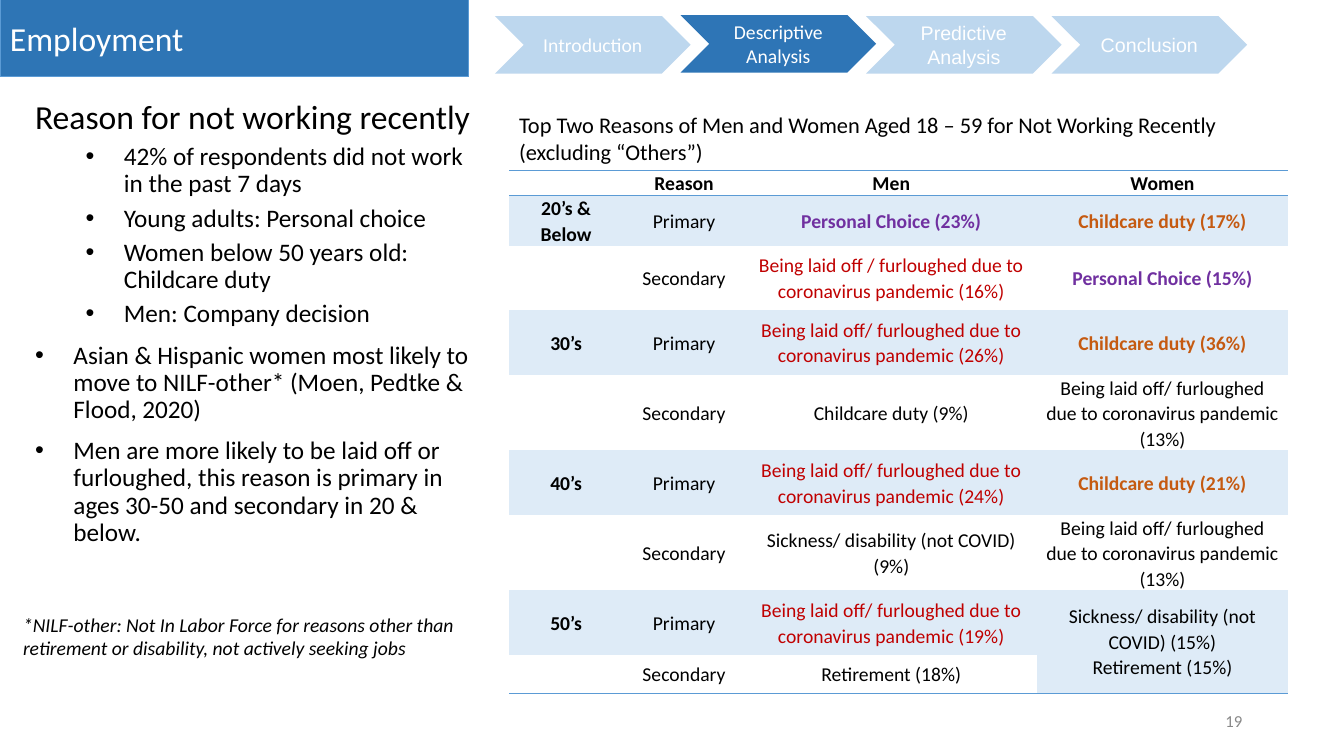
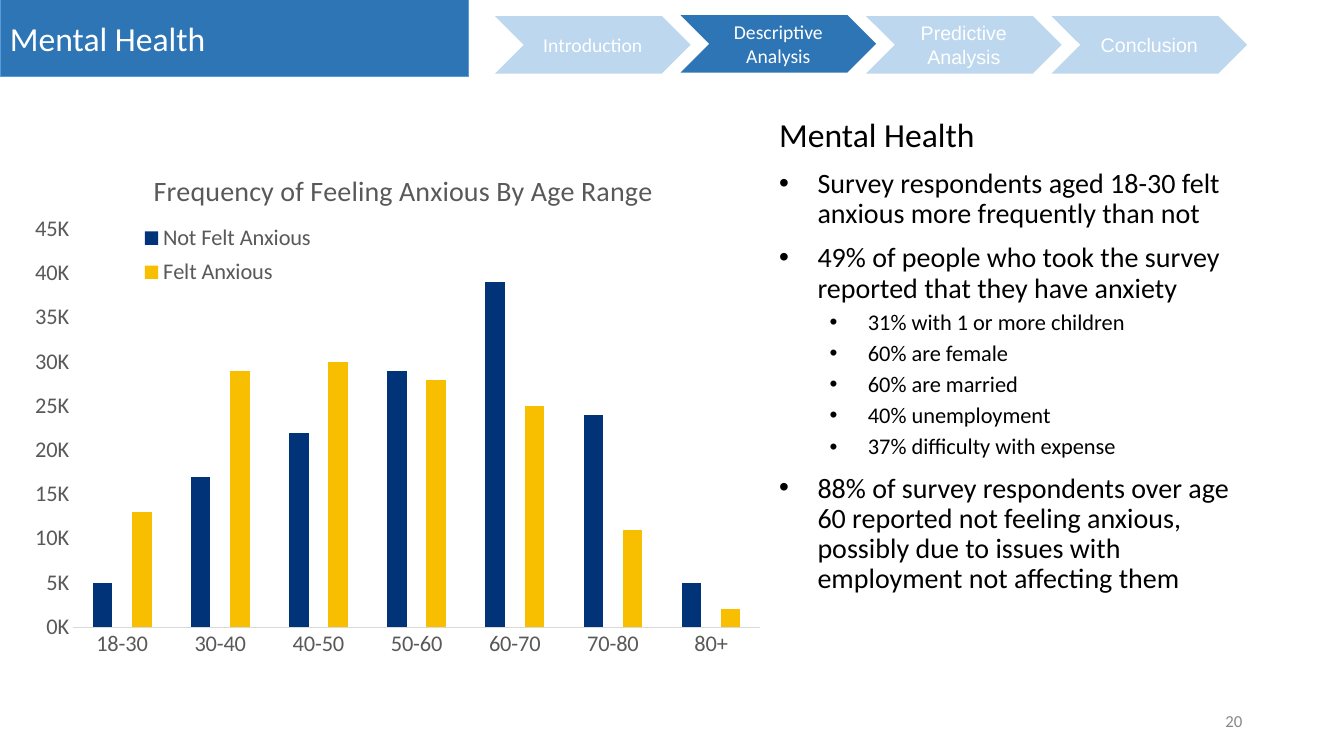
from lxml.etree import SubElement
from pptx import Presentation
from pptx.chart.data import CategoryChartData
from pptx.dml.color import RGBColor
from pptx.enum.chart import XL_CHART_TYPE, XL_LEGEND_POSITION, XL_TICK_MARK
from pptx.enum.shapes import MSO_SHAPE
from pptx.enum.text import MSO_ANCHOR, PP_ALIGN
from pptx.oxml import parse_xml
from pptx.oxml.ns import nsdecls, qn
from pptx.util import Inches, Pt

BANNER, ACTIVE, INACTIVE = "2E75B5", "2E75B6", "BDD7EE"
RULE, BAND = "5B9BD5", "DEEBF7"
BLACK, WHITE, GREY, AXIS = "000000", "FFFFFF", "888888", "595959"
STEPS = [("Introduction", "Calibri", INACTIVE, 0.16),
         ("Descriptive Analysis", "Calibri", ACTIVE, 0.15),
         ("Predictive Analysis", "Arial", INACTIVE, 0.16),
         ("Conclusion", "Arial", INACTIVE, 0.16)]
# Body levels: left margin, first-line indent, space before
LEVELS = [(0.12, 0, 10), (0.5, -0.38, 10), (1, -0.38, 5)]


def format_font(font, color=BLACK, **values):
    for name, value in {"name": "Calibri", "bold": False, **values}.items():
        setattr(font, name, value)
    font.color.rgb = RGBColor.from_string(color)


def write(frame, text, align=PP_ALIGN.LEFT, anchor=MSO_ANCHOR.TOP, **values):
    frame.word_wrap = True
    frame.vertical_anchor = anchor
    paragraph = frame.paragraphs[0]
    paragraph.text = text
    paragraph.alignment = align
    for run in paragraph.runs:
        format_font(run.font, **values)
    return paragraph


prs = Presentation()
prs.slide_width, prs.slide_height = Inches(13.33), Inches(7.5)

# Shared frame and body text of both slides
pages = [
    ("Employment", "19", (0.13, 0.95, 4.65, 5.67), [
        (0, 24, "Reason for not working recently"),
        (2, 18, "42% of respondents did not work in the past 7 days"),
        (2, 18, "Young adults: Personal choice"),
        (2, 18, "Women below 50 years old: Childcare duty"),
        (2, 18, "Men: Company decision"),
        (1, 18, "Asian & Hispanic women most likely to move to NILF-other* "
                "(Moen, Pedtke & Flood, 2020)"),
        (1, 18, "Men are more likely to be laid off or furloughed, this reason "
                "is primary in ages 30-50 and secondary in 20 & below."),
    ]),
    ("Mental Health", "20", (7.51, 1.13, 4.91, 5.66), [
        (0, 24, "Mental Health"),
        (1, 20, "Survey respondents aged 18-30 felt anxious more frequently than not"),
        (1, 20, "49% of people who took the survey reported that they have anxiety"),
        (2, 16, "31% with 1 or more children"),
        (2, 16, "60% are female"),
        (2, 16, "60% are married"),
        (2, 16, "40% unemployment"),
        (2, 16, "37% difficulty with expense"),
        (1, 20, "88% of survey respondents over age 60 reported not feeling anxious, "
                "possibly due to issues with employment not affecting them"),
    ]),
]
slides = []
for title, number, body_box, points in pages:
    slide = prs.slides.add_slide(prs.slide_layouts[6])
    slides.append(slide)

    # Title banner
    banner = slide.shapes.add_shape(MSO_SHAPE.RECTANGLE, 0, 0, Inches(4.65), Inches(0.76))
    banner.shadow.inherit = False
    banner.fill.solid()
    banner.fill.fore_color.rgb = RGBColor.from_string(BANNER)
    banner.line.color.rgb = RGBColor.from_string(RULE)
    banner.line.width = Pt(0.75)
    write(banner.text_frame, title, anchor=MSO_ANCHOR.MIDDLE, size=Pt(24), color=WHITE)

    # Progress chevrons
    for index, (step, typeface, color, top) in enumerate(STEPS):
        chevron = slide.shapes.add_shape(
            MSO_SHAPE.CHEVRON, Inches(4.91 + 1.84 * index), Inches(top),
            Inches(1.94), Inches(0.57))
        chevron.shadow.inherit = False
        chevron.fill.solid()
        chevron.fill.fore_color.rgb = RGBColor.from_string(color)
        chevron.line.fill.background()
        write(chevron.text_frame, step, PP_ALIGN.CENTER, MSO_ANCHOR.MIDDLE,
              name=typeface, size=Pt(14), color=WHITE)

    # Page number
    page_number = slide.shapes.add_textbox(Inches(9.42), Inches(6.95), Inches(3), Inches(0.4))
    write(page_number.text_frame, number, PP_ALIGN.RIGHT, MSO_ANCHOR.MIDDLE,
          size=Pt(12), color=GREY)

    # Body points
    body = slide.shapes.add_textbox(*map(Inches, body_box)).text_frame
    body.word_wrap = True
    for index, (level, size, text) in enumerate(points):
        point = body.add_paragraph() if index else body.paragraphs[0]
        point.text = text
        format_font(point.runs[0].font, size=Pt(size))
        margin, indent, before = LEVELS[level]
        point.line_spacing = 0.9
        point.space_before = Pt(before)
        properties = point._p.get_or_add_pPr()
        properties.set("marL", str(Inches(margin)))
        properties.set("indent", str(Inches(indent)))
        if level:
            SubElement(properties, qn("a:buFont"), typeface="Arial")
            SubElement(properties, qn("a:buChar"), char="•")

employment, mental_health = slides

# Employment: table caption and footnote
caption = employment.shapes.add_textbox(Inches(5.05), Inches(1.05), Inches(7.38), Inches(0.64))
write(caption.text_frame, "Top Two Reasons of Men and Women Aged 18 – 59 for Not Working "
      "Recently (excluding “Others”)", size=Pt(16))
footnote = employment.shapes.add_textbox(Inches(0.13), Inches(6.03), Inches(4.91), Inches(0.57))
write(footnote.text_frame, "*NILF-other: Not In Labor Force for reasons other than retirement "
      "or disability, not actively seeking jobs", size=Pt(14), italic=True)

# Employment: table of reasons
plain, strong = {}, {"bold": True}
choice = {"color": "7030A0", "bold": True}
childcare = {"color": "C55A11", "bold": True}
laid_off = {"color": "C00000"}
LAID_OFF = "Being laid off/ furloughed due to coronavirus pandemic"
reasons = [
    ("20’s & Below", ("Personal Choice (23%)", choice), ("Childcare duty (17%)", childcare)),
    ("", ("Being laid off / furloughed due to coronavirus pandemic (16%)", laid_off),
     ("Personal Choice (15%)", choice)),
    ("30’s", (f"{LAID_OFF} (26%)", laid_off), ("Childcare duty (36%)", childcare)),
    ("", ("Childcare duty (9%)", plain), (f"{LAID_OFF} (13%)", plain)),
    ("40’s", (f"{LAID_OFF} (24%)", laid_off), ("Childcare duty (21%)", childcare)),
    ("", ("Sickness/ disability (not COVID) (9%)", plain), (f"{LAID_OFF} (13%)", plain)),
    ("50’s", (f"{LAID_OFF} (19%)", laid_off),
     ("Sickness/ disability (not COVID) (15%)\nRetirement (15%)", plain)),
    ("", ("Retirement (18%)", plain), ("", plain)),
]
rows = [[(heading, strong) for heading in ("", "Reason", "Men", "Women")]]
for age, men, women in reasons:
    rows.append([(age, strong), ("Primary" if age else "Secondary", plain), men, women])

table = employment.shapes.add_table(
    len(rows), 4, Inches(5.05), Inches(1.69), Inches(7.72), Inches(4.75)).table
table.first_row = table.horz_banding = False
# The "No Style, No Grid" table style
table._tbl.tblPr.find(qn("a:tableStyleId")).text = "{2D5ABB26-0587-4C30-8999-92F81FD0307C}"
for column, width in zip(table.columns, (1.13, 1.21, 2.9, 2.48)):
    column.width = Inches(width)
for row, height in zip(table.rows, [0.15, 0.38] + [0.64] * 6 + [0.38]):
    row.height = Inches(height)
table.cell(7, 3).merge(table.cell(8, 3))

for row_index, row in enumerate(rows):
    for column_index, (text, look) in enumerate(row):
        cell = table.cell(row_index, column_index)
        cell.margin_left = cell.margin_right = Inches(0.06)
        cell.margin_top = cell.margin_bottom = 0
        sides = ["a:lnT", "a:lnB"] if row_index == 0 else []
        if row_index == len(rows) - 1 or cell.is_merge_origin:
            sides = ["a:lnB"]
        for side in sides:
            border = SubElement(cell._tc.get_or_add_tcPr(), qn(side), w=str(Pt(1)))
            SubElement(SubElement(border, qn("a:solidFill")), qn("a:srgbClr"), val=RULE)
        if row_index % 2:
            cell.fill.solid()
            cell.fill.fore_color.rgb = RGBColor.from_string(BAND)
        else:
            cell.fill.background()
        cell.vertical_anchor = MSO_ANCHOR.MIDDLE
        paragraph = write(cell.text_frame, text, PP_ALIGN.CENTER, MSO_ANCHOR.MIDDLE,
                          size=Pt(14), **look)
        paragraph.line_spacing = 1.07
        if not text:
            SubElement(paragraph._p, qn("a:endParaRPr"), sz="1400")

# Mental health: chart of anxiety by age
anxiety = CategoryChartData()
anxiety.categories = ["18-30", "30-40", "40-50", "50-60", "60-70", "70-80", "80+"]
anxiety.add_series("Not Felt Anxious", (5000, 17000, 22000, 29000, 39000, 24000, 5000))
anxiety.add_series("Felt Anxious", (13000, 29000, 30000, 28000, 25000, 11000, 2000))
chart = mental_health.shapes.add_chart(
    XL_CHART_TYPE.COLUMN_CLUSTERED, Inches(0.2), Inches(1.36), Inches(7.49), Inches(5.72),
    anxiety).chart
format_font(chart.font, size=Pt(16))
chart.has_title = True
write(chart.chart_title.text_frame, "Frequency of Feeling Anxious By Age Range",
      PP_ALIGN.CENTER, size=Pt(20), color=AXIS)
chart.has_legend = True
chart.legend.position = XL_LEGEND_POSITION.BOTTOM
chart.legend.include_in_layout = False
format_font(chart.legend.font, size=Pt(16), color=AXIS)

columns = chart.plots[0]
columns.vary_by_categories = False
columns.gap_width, columns.overlap = 201, -100
for series, color in zip(columns.series, ("003378", "F7BF00")):
    series.format.fill.solid()
    series.format.fill.fore_color.rgb = RGBColor.from_string(color)

ages, counts = chart.category_axis, chart.value_axis
for axis in (ages, counts):
    axis.major_tick_mark = axis.minor_tick_mark = XL_TICK_MARK.NONE
    axis.has_major_gridlines = False
    format_font(axis.tick_labels.font, size=Pt(16), color=AXIS)
ages.format.line.color.rgb = RGBColor.from_string("D9D9D9")
ages.format.line.width = Pt(0.75)
counts.format.line.fill.background()
counts.minimum_scale, counts.maximum_scale, counts.major_unit = 0, 45000, 5000
counts.tick_labels.number_format = r"#,##0,\K"
counts.tick_labels.number_format_is_linked = False

# Chart layout: part, position among its children, fractions of the chart
plot_area = chart._chartSpace.chart.plotArea
for part, position, target, fractions in (
        (chart.chart_title._element, 1, "", {"x": 0.17, "y": 0.05}),
        (chart.legend._element, 1, "", {"x": 0.15, "y": 0.14, "w": 0.25, "h": 0.13}),
        (plot_area, 0, "inner", {"x": 0.07, "y": 0.16, "w": 0.91, "h": 0.69})):
    for old in part.findall(qn("c:layout")):
        part.remove(old)
    layout = parse_xml(f"<c:layout {nsdecls('c')}><c:manualLayout/></c:layout>")
    if target:
        SubElement(layout[0], qn("c:layoutTarget"), val=target)
    for key in ("x", "y"):
        SubElement(layout[0], qn(f"c:{key}Mode"), val="edge")
    for key, value in fractions.items():
        SubElement(layout[0], qn(f"c:{key}"), val=str(value))
    part.insert(position, layout)

prs.save("out.pptx")
